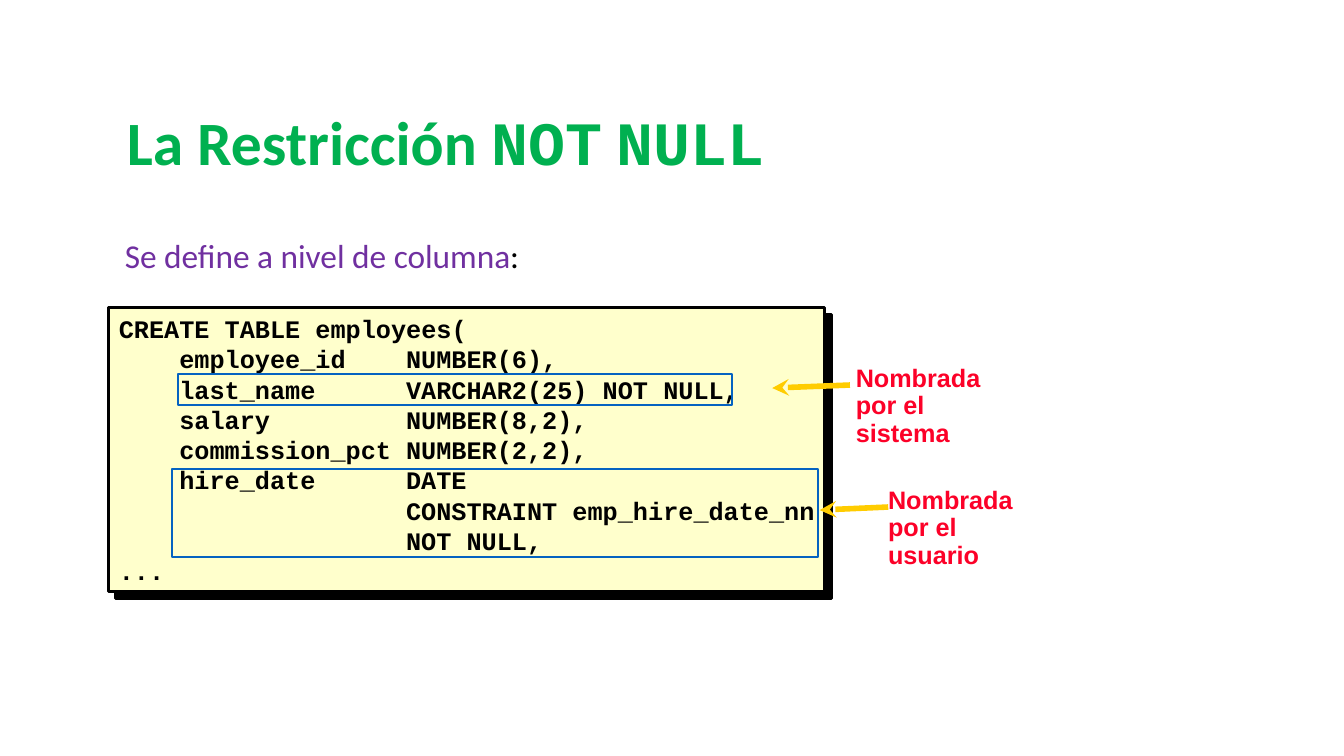
"""Build the slide on the NOT NULL constraint."""
from dataclasses import dataclass

from lxml.etree import SubElement
from pptx import Presentation
from pptx.dml.color import RGBColor
from pptx.enum.shapes import MSO_CONNECTOR as Connector, MSO_SHAPE as Preset
from pptx.enum.text import MSO_ANCHOR as Anchor
from pptx.oxml.ns import qn
from pptx.util import Emu, Inches, Pt

GREEN = RGBColor(0x00, 0xB0, 0x50)
PURPLE = RGBColor(0x70, 0x30, 0xA0)
BLACK = RGBColor(0x00, 0x00, 0x00)
CREAM = RGBColor(0xFF, 0xFF, 0xCC)
BLUE = RGBColor(0x05, 0x63, 0xC1)
RED = RGBColor(0xFC, 0x01, 0x28)
GOLD = RGBColor(0xFF, 0xCC, 0x00)

CHARACTER = 0.15
CODE_TABS = (4, 19)
CODE = (
    "CREATE TABLE employees(",
    "\temployee_id\tNUMBER(6),",
    "\tlast_name\tVARCHAR2(25) NOT NULL,",
    "\tsalary\tNUMBER(8,2),",
    "\tcommission_pct\tNUMBER(2,2),",
    "\thire_date\tDATE",
    "\t\tCONSTRAINT emp_hire_date_nn",
    "\t\tNOT NULL,",
    "...",
)


@dataclass(frozen=True)
class Area:
    """Left, top, width and height as percentages of the slide."""
    left: float
    top: float
    width: float
    height: float


@dataclass(frozen=True)
class Style:
    """Look of a span of text."""
    name: str
    size: float
    color: RGBColor
    bold: bool = True


@dataclass(frozen=True)
class Callout:
    """Red label with an arrow running from its start to its tip."""
    area: Area
    lines: tuple[str, ...]
    tip: tuple[float, float]
    start: tuple[float, float]


TITLE = Style("Calibri", 44, GREEN)
TITLE_CODE = Style("Courier New", 44, GREEN)
SUBTITLE = Style("Calibri", 23.8, PURPLE, False)
COLON = Style("Calibri", 23.8, BLACK, False)
CODE_STYLE = Style("Courier New", 18, BLACK)
LABEL = Style("Arial", 18, RED)

PANEL = Area(8.1, 40.67, 53.26, 37.6)
CODE_AREA = Area(8.1, 41.2, 55, 36.53)
HIGHLIGHTS = (Area(13.28, 49.47, 41.19, 4.13), Area(12.83, 62, 48.01, 11.73))
CALLOUTS = (
    Callout(Area(62.94, 47.73, 12.9, 12.13), ("Nombrada", "por el", "sistema"),
            (57.46, 51.33), (63.24, 50.93)),
    Callout(Area(65.34, 63.87, 12.9, 12.13), ("Nombrada", "por el", "usuario"),
            (60.99, 67.47), (66.09, 67.07)),
)

deck = Presentation()
deck.slide_width, deck.slide_height = Inches(13.33), Inches(7.5)
page = deck.slides.add_slide(deck.slide_layouts[6])


def across(share: float) -> Emu:
    """Turn a percentage of the slide width into a length."""
    return Emu(round(deck.slide_width * share / 100))


def down(share: float) -> Emu:
    """Turn a percentage of the slide height into a length."""
    return Emu(round(deck.slide_height * share / 100))


def place(area: Area) -> tuple[Emu, Emu, Emu, Emu]:
    """Turn an area into the lengths that shapes take."""
    return across(area.left), down(area.top), across(area.width), down(area.height)


def apply(target: object, values: dict) -> None:
    """Set every named attribute on the target."""
    for name, value in values.items():
        setattr(target, name, value)


def add_text(area: Area, lines: list, anchor: Anchor = Anchor.TOP,
             tabs: tuple[int, ...] = (), **spacing: object) -> None:
    """Write lines, each a list of (text, style) spans, in a text box."""
    frame = page.shapes.add_textbox(*place(area)).text_frame
    apply(frame, {"word_wrap": True, "vertical_anchor": anchor})
    for index, spans in enumerate(lines):
        para = frame.add_paragraph() if index else frame.paragraphs[0]
        apply(para, spacing)
        if tabs:
            stops = SubElement(para._p.get_or_add_pPr(), qn("a:tabLst"))
            for column in tabs:
                SubElement(stops, qn("a:tab"), pos=str(Inches(column * CHARACTER)), algn="l")
        for text, style in spans:
            span = para.add_run()
            span.text = text
            apply(span.font, {"name": style.name, "size": Pt(style.size), "bold": style.bold})
            span.font.color.rgb = style.color


def add_frame(area: Area, color: RGBColor, weight: float, fill: RGBColor | None = None):
    """Draw an outlined rectangle, filled when a fill is given."""
    box = page.shapes.add_shape(Preset.RECTANGLE, *place(area))
    box.shadow.inherit = False
    if fill is None:
        box.fill.background()
    else:
        box.fill.solid()
        box.fill.fore_color.rgb = fill
    box.line.color.rgb = color
    box.line.width = Pt(weight)
    return box


def add_hard_shadow(box) -> None:
    """Cast a solid black shadow down and to the right."""
    effects = box._element.spPr.find(qn("a:effectLst"))
    shadow = SubElement(effects, qn("a:outerShdw"), dist=str(Pt(7.1)),
                        dir=str(45 * 60000), algn="ctr", rotWithShape="0")
    SubElement(shadow, qn("a:srgbClr"), val=str(BLACK))


def add_callout(callout: Callout) -> None:
    """Write a label and point its arrow at the code."""
    add_text(callout.area, [[(line, LABEL)] for line in callout.lines], line_spacing=0.9)
    (tip_x, tip_y), (start_x, start_y) = callout.tip, callout.start
    arrow = page.shapes.add_connector(Connector.STRAIGHT, across(tip_x), down(tip_y),
                                      across(start_x), down(start_y))
    arrow.line.color.rgb = GOLD
    arrow.line.width = Pt(4)
    SubElement(arrow.line._get_or_add_ln(), qn("a:headEnd"), type="stealth")
    SubElement(arrow._element.spPr, qn("a:effectLst"))


add_hard_shadow(add_frame(PANEL, BLACK, 2, CREAM))
add_text(CODE_AREA, [[(line, CODE_STYLE)] for line in CODE], Anchor.MIDDLE, CODE_TABS)
add_text(Area(8.7, 12.8, 60.77, 12.8),
         [[("La Restricción ", TITLE), ("NOT", TITLE_CODE), (" ", TITLE), ("NULL", TITLE_CODE)]],
         Anchor.MIDDLE, line_spacing=0.9)
add_text(Area(8.55, 31.87, 60.6, 5.6),
         [[("Se define a nivel de columna", SUBTITLE), (":", COLON)]],
         line_spacing=0.7, space_before=Pt(10))
for highlight in HIGHLIGHTS:
    add_frame(highlight, BLUE, 1.5)
for callout in CALLOUTS:
    add_callout(callout)

deck.save("out.pptx")
